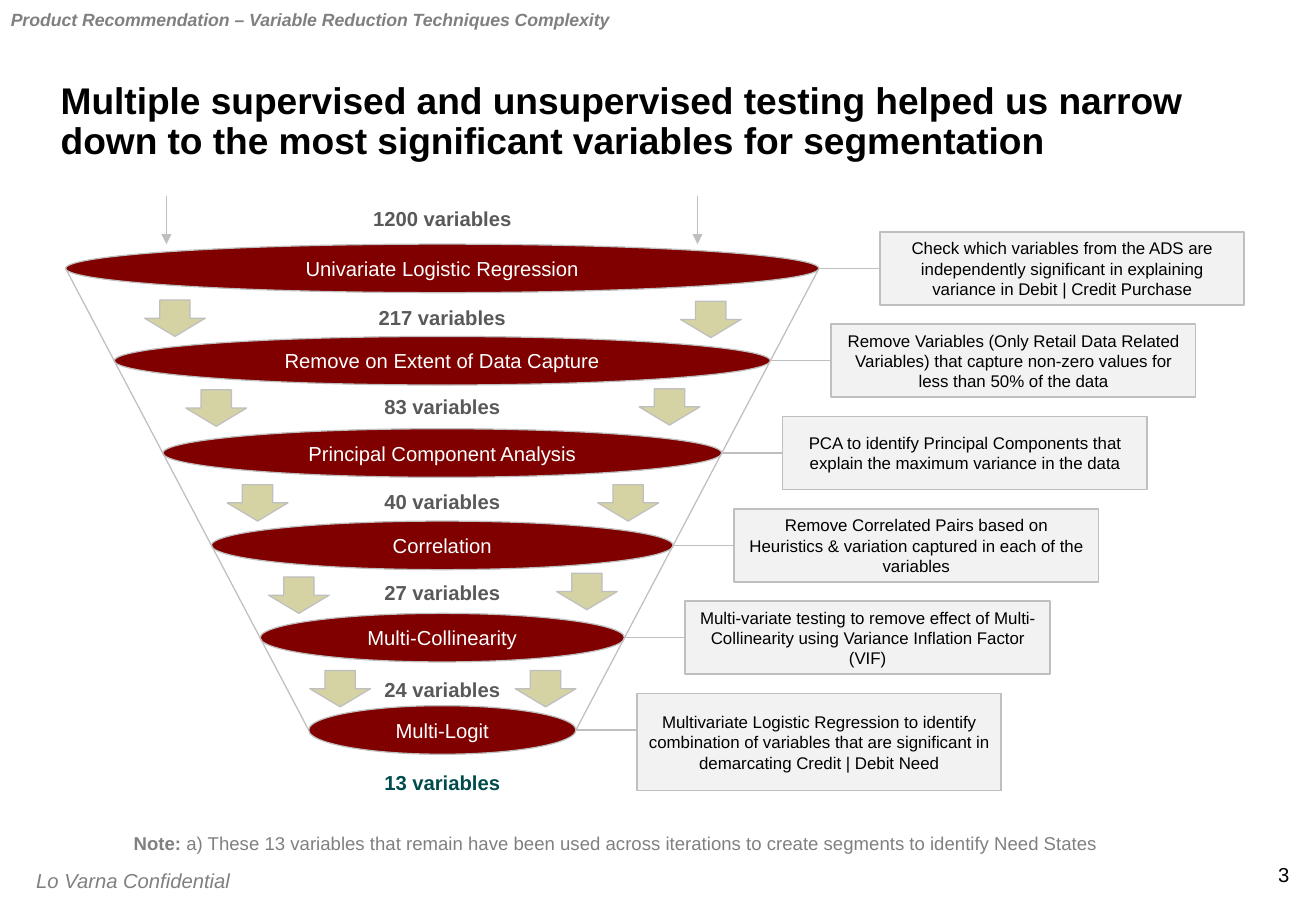
import pptx
import pptx.util
import pptx.dml.color
import pptx.enum.shapes
import pptx.enum.text
from dataclasses import dataclass
from lxml import etree

Inches = pptx.util.Inches
Pt = pptx.util.Pt
RGB = pptx.dml.color.RGBColor.from_string
SHAPE = pptx.enum.shapes.MSO_SHAPE
ALIGN = pptx.enum.text.PP_ALIGN
ANCHOR = pptx.enum.text.MSO_ANCHOR
NS = "{http://schemas.openxmlformats.org/drawingml/2006/main}"


@dataclass
class Theme:
    font: str = "Arial"
    black: str = "000000"
    white: str = "FFFFFF"
    gray: str = "808080"
    dark: str = "595959"
    teal: str = "004C4D"
    red: str = "800000"
    sand: str = "D5D3A3"
    pale: str = "F2F2F2"
    edge: str = "BFBFBF"
    title: float = 22
    body: float = 12
    note: float = 11
    head: float = 10.5
    small: float = 10
    thin: float = 0.75
    thick: float = 1


theme = Theme()
deck = pptx.Presentation()
deck.slide_width = Inches(10.83)
deck.slide_height = Inches(7.5)
slide = deck.slides.add_slide(deck.slide_layouts[6])
shapes = slide.shapes


def add_box(kind, at, text="", size=theme.body, color=theme.black, fill=None,
            edge=theme.thin, bold=False, italic=False, align=ALIGN.CENTER,
            anchor=ANCHOR.MIDDLE, wrap=True, inset=True):
    place = [Inches(n) for n in at]
    if kind is None:
        box = shapes.add_textbox(*place)
    else:
        box = shapes.add_shape(kind, *place)
        box.shadow.inherit = False
        box.fill.solid()
        box.fill.fore_color.rgb = RGB(fill)
        box.line.color.rgb = RGB(theme.edge)
        box.line.width = Pt(edge)
    frame = box.text_frame
    frame.word_wrap = wrap
    frame.vertical_anchor = anchor
    if not inset:
        frame.margin_left = frame.margin_right = 0
        frame.margin_top = frame.margin_bottom = 0
    if text:
        frame.text = text
        para = frame.paragraphs[0]
        para.alignment = align
        for run in para.runs:
            run.font.name = theme.font
            run.font.size = Pt(size)
            run.font.bold = bold
            run.font.italic = italic
            run.font.color.rgb = RGB(color)
    return box


def add_line(x1, y1, x2, y2, arrow=False):
    line = shapes.add_connector(pptx.enum.shapes.MSO_CONNECTOR.STRAIGHT,
                                Inches(x1), Inches(y1), Inches(x2), Inches(y2))
    line.line.color.rgb = RGB(theme.edge)
    line.line.width = Pt(theme.thin)
    if arrow:
        etree.SubElement(line.line._get_or_add_ln(), NS + "tailEnd", type="triangle")
    etree.SubElement(line._element.spPr, NS + "effectLst")
    return line


add_box(None, (10.4, 7.1, 0.21, 0.2), "3", align=ALIGN.RIGHT,
        anchor=ANCHOR.TOP, wrap=False, inset=False)
add_box(None, (0.2, 7.1, 2.2, 0.3), "Lo Varna Confidential", color=theme.gray,
        italic=True, align=ALIGN.LEFT, anchor=ANCHOR.TOP)
title = add_box(None, (0.5, 0.42, 9.83, 0.92),
                "Multiple supervised and unsupervised testing helped us narrow "
                "down to the most significant variables for segmentation",
                theme.title, bold=True, align=ALIGN.LEFT,
                anchor=ANCHOR.BOTTOM, inset=False)
title.text_frame.paragraphs[0].line_spacing = 0.9
add_box(None, (-0.01, 0.02, 5.65, 0.28),
        "Product Recommendation – Variable Reduction Techniques Complexity",
        theme.head, theme.gray, bold=True, italic=True, align=ALIGN.LEFT,
        anchor=ANCHOR.TOP)

stages = [
    ("Univariate Logistic Regression", 6.2, 0.6,
     "Check which variables from the ADS are independently significant in "
     "explaining variance in Debit | Credit Purchase"),
    ("Remove on Extent of Data Capture", 5.4, 0.6,
     "Remove Variables (Only Retail Data Related Variables) that capture "
     "non-zero values for less than 50% of the data"),
    ("Principal Component Analysis", 4.6, 0.6,
     "PCA to identify Principal Components that explain the maximum "
     "variance in the data"),
    ("Correlation", 3.8, 0.6,
     "Remove Correlated Pairs based on Heuristics & variation captured in "
     "each of the variables"),
    ("Multi-Collinearity", 3, 0.6,
     "Multi-variate testing to remove effect of Multi-Collinearity using "
     "Variance Inflation Factor (VIF)"),
    ("Multi-Logit", 2.2, 0.8,
     "Multivariate Logistic Regression to identify combination of variables "
     "that are significant in demarcating Credit | Debit Need"),
]
center, first, step = 3.64, 2.21, 0.76

for i, (name, width, tall, detail) in enumerate(stages):
    mid = first + step * i
    right = center + width / 2
    add_box(SHAPE.OVAL, (center - width / 2, mid - 0.2, width, 0.4), name,
            color=theme.white, fill=theme.red)
    card = add_box(SHAPE.RECTANGLE, (right + 0.5, mid - 0.3, 3, tall), detail,
                   theme.small, fill=theme.pale, edge=theme.thick)
    link = add_line(right, mid, right + 0.5, mid)
    if tall == 0.6:
        link.end_connect(card, 1)

last = first + step * (len(stages) - 1)
for side in (-1, 1):
    add_line(center + side * 3.1, first, center + side * 1.1, last)
for x in (1.37, 5.74):
    add_line(x, 1.61, x, 2.01, arrow=True)

drops = [(2.47, 2.48), (3.21, 3.2), (3.99, 3.99), (4.75, 4.72), (5.52, 5.52)]
for i, (left, right) in enumerate(drops):
    for x, y in ((1.19 + 0.34 * i, left), (5.6 - 0.34 * i, right)):
        add_box(SHAPE.DOWN_ARROW, (x, y, 0.5, 0.3), fill=theme.sand)

counts = [(1200, 1.6), (217, 2.41), (83, 3.15), (40, 3.93), (27, 4.68),
          (24, 5.48), (13, 6.24)]
for count, top in counts:
    color = theme.teal if count == 13 else theme.dark
    add_box(None, (center - 0.7, top, 1.4, 0.4), f"{count} variables",
            color=color, bold=True, wrap=False, inset=False)

note = add_box(None, (0.4, 6.8, 9.34, 0.29), "Note:", theme.note, theme.gray,
               bold=True, anchor=ANCHOR.TOP)
rest = note.text_frame.paragraphs[0].add_run()
rest.text = (" a) These 13 variables that remain have been used across "
             "iterations to create segments to identify Need States")
rest.font.name = theme.font
rest.font.size = Pt(theme.note)
rest.font.color.rgb = RGB(theme.gray)

deck.save("out.pptx")
